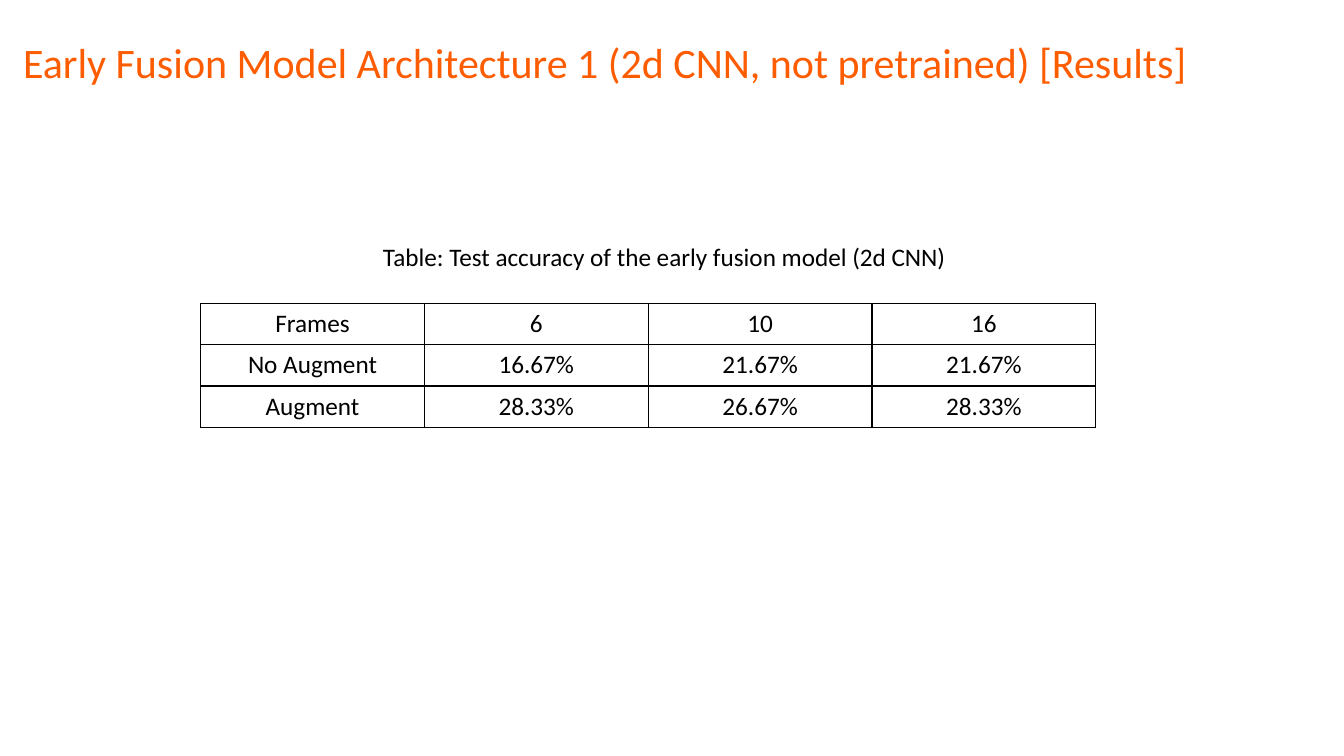
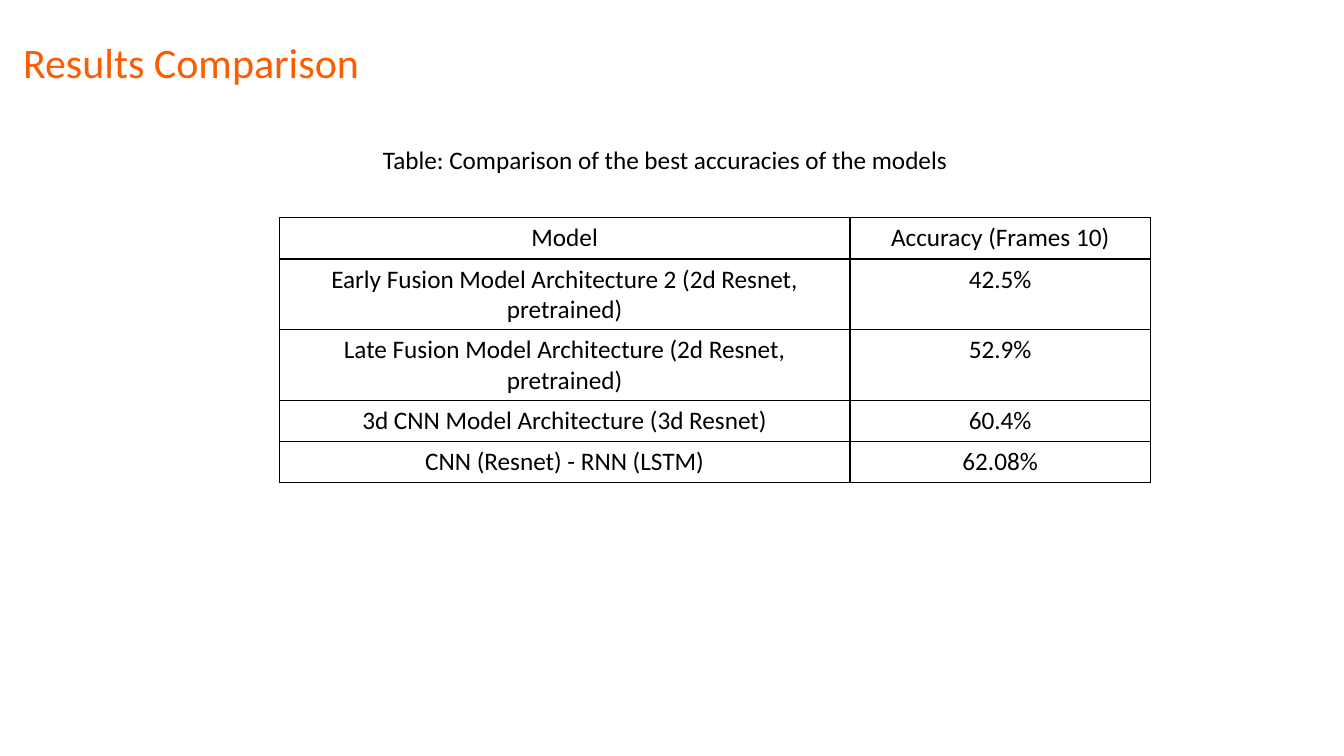
from dataclasses import dataclass

import lxml.etree
import pptx
import pptx.dml.color
import pptx.enum.text
import pptx.oxml.ns
import pptx.util

EMU_PER_PX = 9144
SLIDE_SIZE = (1333, 750)
TITLE_BOX = (13, 28, 1292, 64)
CAPTION_LEFT, CAPTION_WIDTH, CAPTION_HEIGHT = 370, 592, 40
ROW_HEIGHT = 41


@dataclass(frozen=True)
class Theme:
    font: str = "Calibri"
    title_color: str = "FE5C00"
    text_color: str = "000000"
    border_color: str = "000000"
    background: str = "FFFFFF"
    title_size: int = 30
    body_size: int = 18
    border_width: int = 1


THEME = Theme()
ALIGN = pptx.enum.text.PP_ALIGN
ANCHOR = pptx.enum.text.MSO_ANCHOR


def px(length):
    return pptx.util.Emu(length * EMU_PER_PX)


def rgb(color):
    return pptx.dml.color.RGBColor.from_string(color)


def style_paragraph(paragraph, size, color):
    for run in paragraph.runs:
        run.font.name = THEME.font
        run.font.size = pptx.util.Pt(size)
        run.font.color.rgb = rgb(color)


def add_text(slide, box, text, size, color, anchor=ANCHOR.TOP):
    shape = slide.shapes.add_textbox(*map(px, box))
    text_frame = shape.text_frame
    text_frame.word_wrap = True
    text_frame.vertical_anchor = anchor
    text_frame.text = text
    paragraph = text_frame.paragraphs[0]
    paragraph.line_spacing = 0.9
    style_paragraph(paragraph, size, color)


def set_borders(cell):
    """Draw all four sides; the line elements must come before the fill."""
    properties = cell._tc.get_or_add_tcPr()
    qn = pptx.oxml.ns.qn
    for index, side in enumerate(("a:lnL", "a:lnR", "a:lnT", "a:lnB")):
        line = lxml.etree.Element(qn(side), w=str(pptx.util.Pt(THEME.border_width)))
        fill = lxml.etree.SubElement(line, qn("a:solidFill"))
        lxml.etree.SubElement(fill, qn("a:srgbClr"), val=THEME.border_color)
        properties.insert(index, line)


def add_results_table(slide, left, top, column_widths, rows):
    frame = slide.shapes.add_table(
        len(rows), len(column_widths), px(left), px(top),
        px(sum(column_widths)), px(ROW_HEIGHT * len(rows)))
    table = frame.table
    table.first_row = False
    table.horz_banding = False
    for column, width in zip(table.columns, column_widths):
        column.width = px(width)
    for table_row, values in zip(table.rows, rows):
        table_row.height = px(ROW_HEIGHT)
        for cell, value in zip(table_row.cells, values):
            cell.fill.background()
            set_borders(cell)
            cell.text_frame.text = value
            paragraph = cell.text_frame.paragraphs[0]
            paragraph.alignment = ALIGN.CENTER
            style_paragraph(paragraph, THEME.body_size, THEME.text_color)


def add_results_slide(presentation, title, caption, caption_top, table_at, column_widths, rows):
    slide = presentation.slides.add_slide(presentation.slide_layouts[6])
    slide.background.fill.solid()
    slide.background.fill.fore_color.rgb = rgb(THEME.background)
    add_text(slide, TITLE_BOX, title, THEME.title_size, THEME.title_color, ANCHOR.BOTTOM)
    add_results_table(slide, *table_at, column_widths, rows)
    caption_box = (CAPTION_LEFT, caption_top, CAPTION_WIDTH, CAPTION_HEIGHT)
    add_text(slide, caption_box, caption, THEME.body_size, THEME.text_color)


def main():
    presentation = pptx.Presentation()
    presentation.slide_width, presentation.slide_height = map(px, SLIDE_SIZE)
    add_results_slide(
        presentation,
        title="Early Fusion Model Architecture 1 (2d CNN, not pretrained) [Results]",
        caption="Table: Test accuracy of the early fusion model (2d CNN)",
        caption_top=238,
        table_at=(199, 301),
        column_widths=[222] * 4,
        rows=[
            ("Frames", "6", "10", "16"),
            ("No Augment", "16.67%", "21.67%", "21.67%"),
            ("Augment", "28.33%", "26.67%", "28.33%"),
        ])
    add_results_slide(
        presentation,
        title="Results Comparison",
        caption="Table: Comparison of the best accuracies of the models",
        caption_top=142,
        table_at=(277, 216),
        column_widths=[566, 298],
        rows=[
            ("Model", "Accuracy (Frames 10)"),
            ("Early Fusion Model Architecture 2 (2d Resnet, pretrained)", "42.5%"),
            ("Late Fusion Model Architecture (2d Resnet, pretrained)", "52.9%"),
            ("3d CNN Model Architecture (3d Resnet)", "60.4%"),
            ("CNN (Resnet) - RNN (LSTM)", "62.08%"),
        ])
    presentation.save("out.pptx")


if __name__ == "__main__":
    main()
